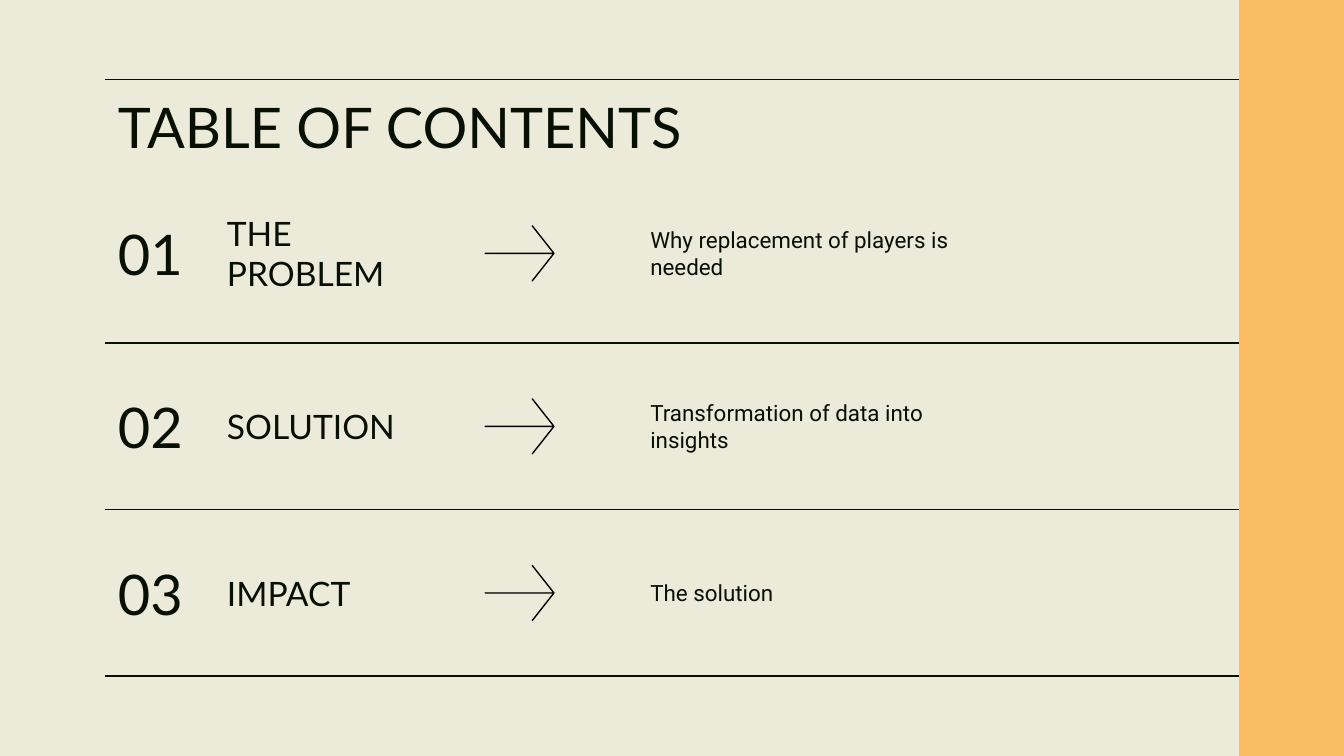
from dataclasses import dataclass

from lxml.etree import SubElement
from pptx import Presentation
from pptx.dml.color import RGBColor as RGB
from pptx.enum.shapes import MSO_CONNECTOR as CONN, MSO_SHAPE as SHAPE
from pptx.enum.text import MSO_ANCHOR as ANCHOR
from pptx.oxml.ns import qn
from pptx.util import Cm, Pt


@dataclass(frozen=True)
class Theme:
    paper: RGB = RGB(0xEC, 0xEB, 0xDA)
    band: RGB = RGB(0xFA, 0xBD, 0x63)
    ink: RGB = RGB(0x08, 0x10, 0x04)
    arrow: RGB = RGB(0, 0, 0)
    head_font: str = "Lato"
    body_font: str = "Roboto"
    title_size: int = 30
    topic_size: int = 18
    body_size: int = 12
    line_width: float = 0.75


THEME = Theme()

# Layout in centimetres
WIDTH, HEIGHT = 25.4, 14.29
LEFT, RIGHT = 1.98, 23.42
RULE_TOP = 1.5
RULE_FIRST, RULE_GAP = 6.48, 3.15
ROW_HEIGHT = 1.24
ROW_TOPS = (4.17, 7.44, 7.44 + RULE_GAP)

ITEMS = (
    ("01", "THE PROBLEM", "Why replacement of players is needed"),
    ("02", "SOLUTION", "Transformation of data into insights"),
    ("03", "IMPACT", "The solution"),
)


def add_text(slide, text, x, y, w, h, font, size, anchor=ANCHOR.MIDDLE):
    tf = slide.shapes.add_textbox(Cm(x), Cm(y), Cm(w), Cm(h)).text_frame
    tf.word_wrap = True
    tf.vertical_anchor = anchor
    tf.margin_left = tf.margin_right = Cm(0.25)
    tf.margin_top = tf.margin_bottom = Cm(0.25)
    tf.text = text
    f = tf.paragraphs[0].runs[0].font
    f.name, f.size = font, Pt(size)
    f.color.rgb = THEME.ink


def add_band(slide):
    sp = slide.shapes.add_shape(SHAPE.RECTANGLE, Cm(RIGHT), 0,
                                Cm(WIDTH - RIGHT), Cm(HEIGHT))
    sp.shadow.inherit = False
    sp.fill.solid()
    sp.fill.fore_color.rgb = THEME.band
    sp.line.fill.background()


def add_rule(slide, y):
    line = slide.shapes.add_connector(CONN.STRAIGHT, Cm(LEFT), Cm(y),
                                      Cm(RIGHT), Cm(y))
    line.line.color.rgb = THEME.ink
    line.line.width = Pt(THEME.line_width)
    SubElement(line._element.spPr, qn("a:effectLst"))


def add_arrow(slide, x, y):
    """Draw an open arrow: upper barb, shaft out and back, lower barb."""
    tip, tail = (1.3, 0.52), (0, 0.52)
    points = [(0.89, 0), tip, tail, tip, (0.89, 1.04), tip]
    start, *rest = [(Cm(x + dx), Cm(y + dy)) for dx, dy in points]
    builder = slide.shapes.build_freeform(*start)
    builder.add_line_segments(rest, close=True)
    sp = builder.convert_to_shape()
    sp.shadow.inherit = False
    sp.fill.solid()
    sp.fill.fore_color.rgb = THEME.arrow
    sp.line.color.rgb = THEME.arrow
    sp.line.width = Pt(THEME.line_width)


def add_item(slide, y, number, topic, detail):
    t = THEME
    add_text(slide, number, LEFT, y, 2.04, ROW_HEIGHT, t.head_font, t.title_size)
    add_text(slide, topic, 4.04, y, 4.72, ROW_HEIGHT, t.head_font, t.topic_size)
    add_arrow(slide, 9.17, y + 0.1)
    add_text(slide, detail, 12.04, y, 6.4, ROW_HEIGHT, t.body_font, t.body_size)


def main():
    prs = Presentation()
    prs.slide_width, prs.slide_height = Cm(WIDTH), Cm(HEIGHT)
    slide = prs.slides.add_slide(prs.slide_layouts[6])

    # Background and side band
    slide.background.fill.solid()
    slide.background.fill.fore_color.rgb = THEME.paper
    add_band(slide)

    # Title
    add_text(slide, "TABLE OF CONTENTS", LEFT, RULE_TOP, RIGHT - LEFT, 1.6,
             THEME.head_font, THEME.title_size, ANCHOR.TOP)
    add_rule(slide, RULE_TOP)

    # Contents rows, each closed by a rule
    for i, (y, item) in enumerate(zip(ROW_TOPS, ITEMS)):
        add_item(slide, y, *item)
        add_rule(slide, RULE_FIRST + i * RULE_GAP)

    prs.save("out.pptx")


if __name__ == "__main__":
    main()
